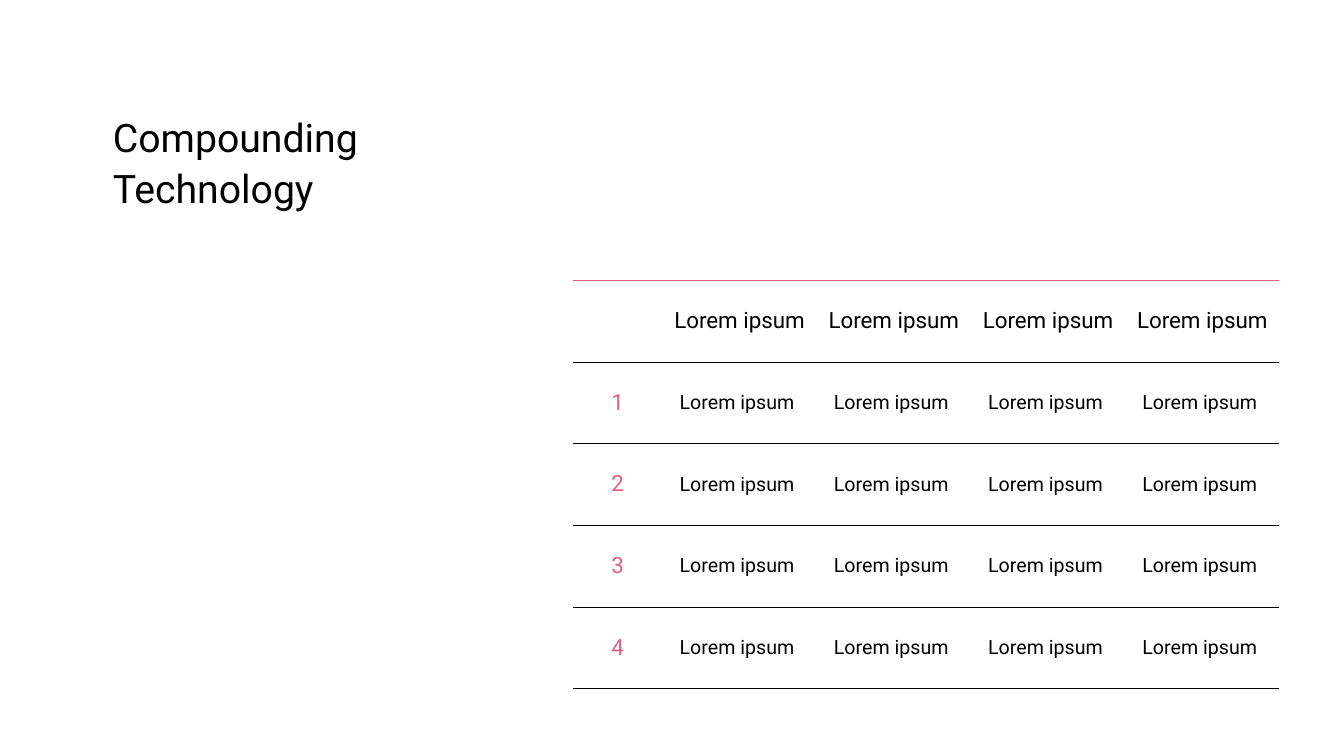
from dataclasses import dataclass

from lxml import etree
from pptx import Presentation
from pptx.dml.color import RGBColor
from pptx.enum.text import MSO_ANCHOR, PP_ALIGN
from pptx.oxml.ns import qn
from pptx.util import Inches, Pt

MIDDLE = MSO_ANCHOR.MIDDLE
LEFT = PP_ALIGN.LEFT
CENTER = PP_ALIGN.CENTER


@dataclass(frozen=True)
class Theme:
    font: str = "Roboto"
    ink: str = "000000"
    accent: str = "E65F7D"
    paper: str = "FFFFFF"
    cell_opacity: int = 58
    title_size: int = 28
    title_leading: int = 36
    head_size: int = 16
    body_size: int = 14
    rule_width: float = 0.25


def write_text(tf, text, *, font, size, color, align=LEFT, leading=None):
    p = tf.paragraphs[0]
    p.alignment = align
    if leading:
        p.line_spacing = Pt(leading)
    r = p.add_run()
    r.text = text
    r.font.name = font
    r.font.size = Pt(size)
    r.font.color.rgb = RGBColor.from_string(color)


class SlideBuilder:
    def __init__(self, slide, theme):
        self.s = slide
        self.theme = theme

    def background(self):
        fill = self.s.background.fill
        fill.solid()
        fill.fore_color.rgb = RGBColor.from_string(self.theme.paper)

    def title(self, text, left, top, width, height):
        t = self.theme
        sp = self.s.shapes.add_textbox(Inches(left), Inches(top), Inches(width), Inches(height))
        tf = sp.text_frame
        tf.word_wrap = True
        tf.vertical_anchor = MIDDLE
        tf.margin_left = 0
        write_text(tf, text, font=t.font, size=t.title_size, color=t.ink, leading=t.title_leading)

    def border(self, cell, index, side, color=None):
        ln = etree.Element(qn(f"a:ln{side}"), w=str(Pt(self.theme.rule_width)))
        if color:
            fill = etree.SubElement(ln, qn("a:solidFill"))
            etree.SubElement(fill, qn("a:srgbClr"), val=color)
        else:
            etree.SubElement(ln, qn("a:noFill"))
        cell._tc.get_or_add_tcPr().insert(index, ln)

    def cell(self, cell, text, size, color, top_color):
        t = self.theme
        cell.vertical_anchor = MIDDLE
        cell.fill.solid()
        cell.fill.fore_color.rgb = RGBColor.from_string(t.paper)
        paper = cell._tc.tcPr.find(f".//{qn('a:srgbClr')}")
        etree.SubElement(paper, qn("a:alpha"), val=str(t.cell_opacity * 1000))
        borders = {"L": None, "R": None, "T": top_color, "B": t.ink}
        for index, (side, line_color) in enumerate(borders.items()):
            self.border(cell, index, side, line_color)
        if text:
            write_text(cell.text_frame, text, font=t.font, size=size, color=color, align=CENTER)

    def table(self, rows, left, top, col_widths, row_height):
        t = self.theme
        frame = self.s.shapes.add_table(
            len(rows), len(col_widths), Inches(left), Inches(top),
            Inches(sum(col_widths)), Inches(row_height * len(rows)))
        table = frame.table
        table.first_row = False
        table.horz_banding = False
        for column, width in zip(table.columns, col_widths):
            column.width = Inches(width)
        for i, texts in enumerate(rows):
            table.rows[i].height = Inches(row_height)
            for j, text in enumerate(texts):
                size = t.body_size if i and j else t.head_size
                color = t.ink if j else t.accent
                top_color = t.ink if i else t.accent
                self.cell(table.cell(i, j), text, size, color, top_color)


def main():
    prs = Presentation()
    prs.slide_width = Inches(13.33)
    prs.slide_height = Inches(7.5)
    builder = SlideBuilder(prs.slides.add_slide(prs.slide_layouts[6]), Theme())
    builder.background()
    builder.title("Compounding Technology", 1.12, 1.04, 3.27, 1.11)
    rows = [[label] + ["Lorem ipsum "] * 4 for label in ("", "1", "2", "3", "4")]
    builder.table(rows, 5.68, 2.78, [0.89] + [1.53] * 4, 0.81)
    prs.save("out.pptx")


if __name__ == "__main__":
    main()
